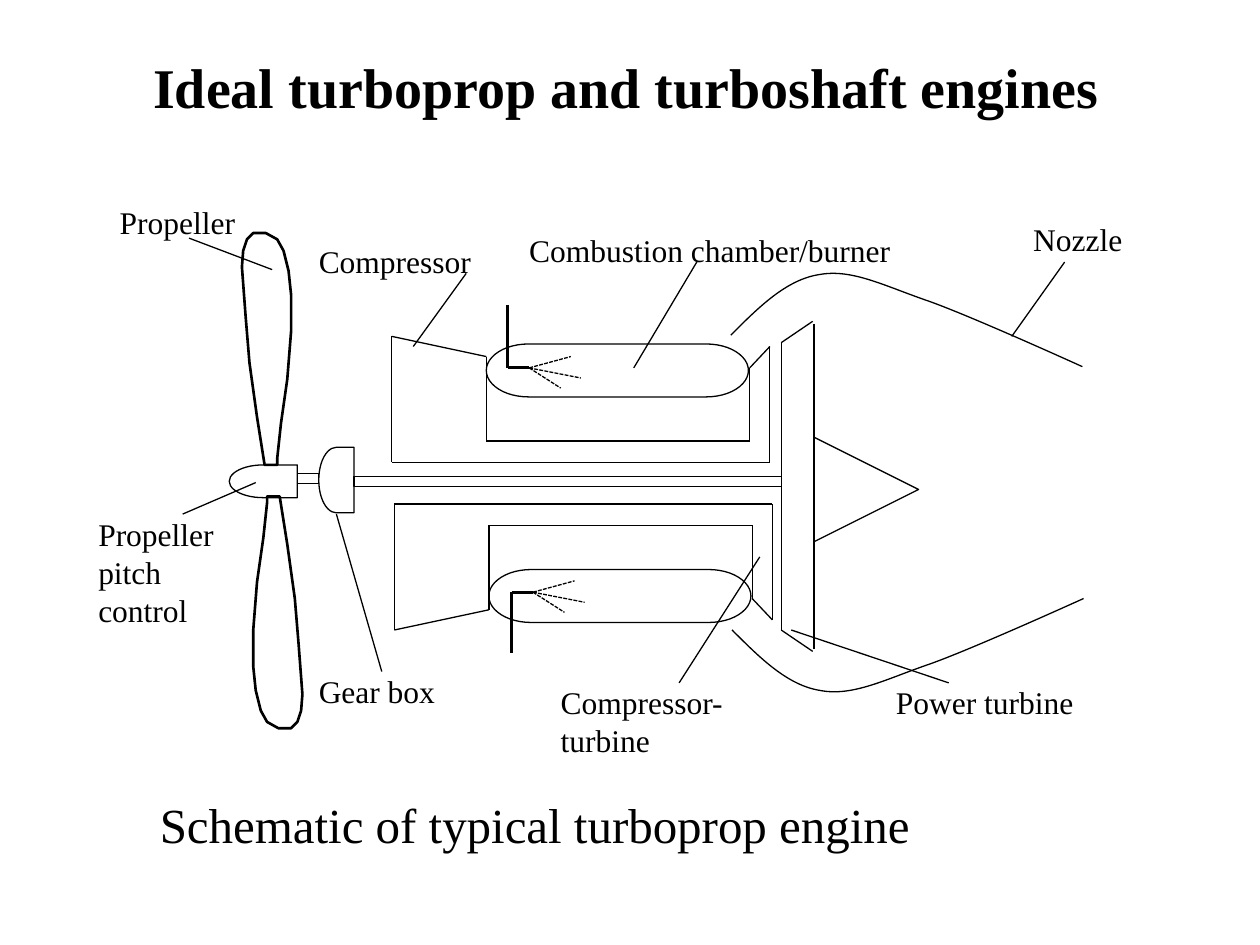
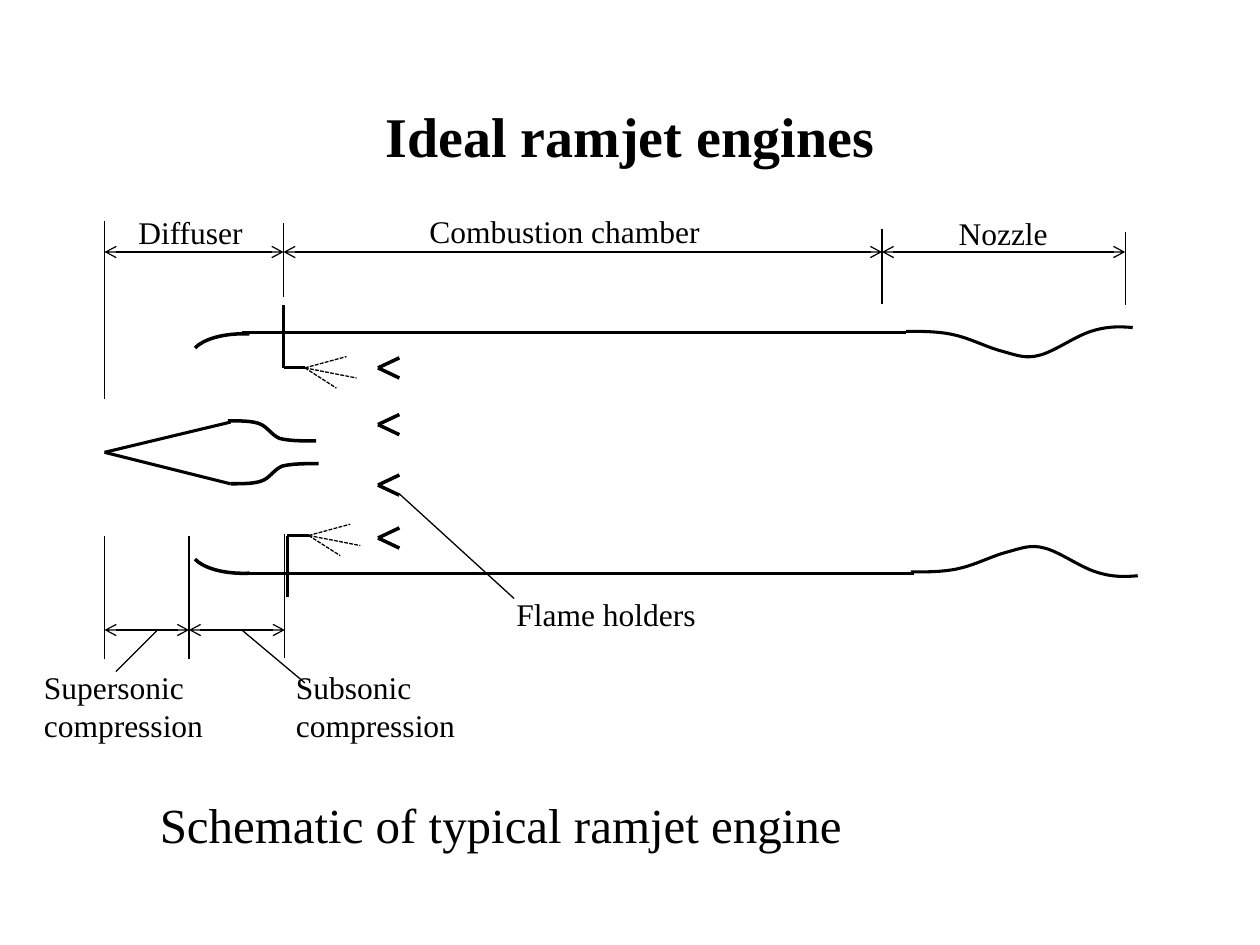
from dataclasses import dataclass
from itertools import pairwise

from lxml.etree import SubElement
from pptx import Presentation
from pptx.dml.color import RGBColor
from pptx.enum.dml import MSO_LINE
from pptx.enum.shapes import MSO_CONNECTOR, MSO_SHAPE
from pptx.enum.text import MSO_ANCHOR, MSO_AUTO_SIZE, PP_ALIGN
from pptx.oxml.ns import qn
from pptx.slide import Slide
from pptx.util import Cm, Pt

Point = tuple[float, float]
Box = tuple[float, float, float, float]


@dataclass(frozen=True)
class Theme:
    ink: RGBColor = RGBColor(0, 0, 0)
    paper: RGBColor = RGBColor(255, 255, 255)
    font: str = "Times New Roman"
    title_size: float = 32
    caption_size: float = 28
    label_size: float = 18
    thin: float = 0.75
    blade: float = 1.5
    medium: float = 1.75
    thick: float = 2


@dataclass(frozen=True)
class Label:
    text: str
    box: Box
    leader: tuple[Point, Point] | None = None


@dataclass(frozen=True)
class Part:
    preset: MSO_SHAPE
    box: Box
    rotation: float = 0
    flip: str = ""
    weight: float = 0.75
    start_angle: float | None = None


THEME = Theme()
UNIT_CM = 2.54  # one drawing unit; the page is 10 by 7.5 units


def units(value: float) -> int:
    return Cm(value * UNIT_CM)


def mirror(points: list[Point], shift: float, axis_sum: float) -> list[Point]:
    """Reflect points about the engine axis, with a small shift along it."""
    return [(x + shift, axis_sum - y) for x, y in points]


# Drawing functions

def add_text(slide: Slide, text: str, box: Box, size: float, *, inset: bool = True,
             title: bool = False) -> None:
    textbox = slide.shapes.add_textbox(*map(units, box))
    frame = textbox.text_frame
    frame.text = text
    frame.word_wrap = True
    if title:
        frame.vertical_anchor = MSO_ANCHOR.MIDDLE
    else:
        frame.auto_size = MSO_AUTO_SIZE.SHAPE_TO_FIT_TEXT
    if not inset:
        frame.margin_left = frame.margin_right = Cm(0)
        frame.margin_top = frame.margin_bottom = Cm(0)
    for paragraph in frame.paragraphs:
        paragraph.alignment = PP_ALIGN.CENTER if title else PP_ALIGN.LEFT
        for run in paragraph.runs:
            run.font.name = THEME.font
            run.font.size = Pt(size)
            run.font.bold = title
            run.font.color.rgb = THEME.ink


def add_line(slide: Slide, start: Point, end: Point, weight: float = THEME.thin, *,
             dashed: bool = False, arrows: bool = False) -> None:
    connector = slide.shapes.add_connector(
        MSO_CONNECTOR.STRAIGHT, *map(units, (*start, *end)))
    connector.line.color.rgb = THEME.ink
    connector.line.width = Pt(weight)
    if dashed:
        connector.line.dash_style = MSO_LINE.SQUARE_DOT
    properties = connector._element.spPr
    if arrows:
        for tag in ("a:headEnd", "a:tailEnd"):
            SubElement(properties.find(qn("a:ln")), qn(tag)).set("type", "arrow")
    SubElement(properties, qn("a:effectLst"))


def add_chain(slide: Slide, points: list[Point], weight: float = THEME.thin) -> None:
    for start, end in pairwise(points):
        add_line(slide, start, end, weight)


def outline(shape, weight: float) -> None:
    shape.shadow.inherit = False
    shape.fill.background()
    shape.line.color.rgb = THEME.ink
    shape.line.width = Pt(weight)


def add_part(slide: Slide, part: Part) -> None:
    shape = slide.shapes.add_shape(part.preset, *map(units, part.box))
    shape.rotation = part.rotation
    if part.start_angle is not None:
        shape.adjustments[0] = part.start_angle
        shape.adjustments[1] = 0
    if part.flip:
        shape._element.spPr.find(qn("a:xfrm")).set(part.flip, "1")
    outline(shape, part.weight)


def add_freeform(slide: Slide, points: list[Point], weight: float, *,
                 closed: bool = False, curved: bool = False) -> None:
    """Draw a polygon, or a Bezier curve with three points per segment."""
    start, *rest = [(units(x), units(y)) for x, y in points]
    builder = slide.shapes.build_freeform(*start, scale=1.0)
    builder.add_line_segments(rest, close=closed)
    shape = builder.convert_to_shape()
    if curved:
        segments = list(shape._element.iter(qn("a:lnTo")))
        for first in range(0, len(segments), 3):
            head, *others = segments[first:first + 3]
            head.tag = qn("a:cubicBezTo")
            for other in others:
                head.append(other[0])
                other.getparent().remove(other)
    outline(shape, weight)


def add_injector(slide: Slide, elbow: Point, feed: float) -> None:
    """Fuel pipe of signed length feed, with three dashed spray lines."""
    x, y = elbow
    tip = (x + 0.17, y)
    add_chain(slide, [(x, y + feed), elbow, tip], THEME.medium)
    for dx, dy in ((0.33, -0.09), (0.41, 0.08), (0.25, 0.16)):
        add_line(slide, tip, (tip[0] + dx, y + dy), dashed=True)


def add_labels(slide: Slide, labels: list[Label], inset: bool) -> None:
    for label in labels:
        add_text(slide, label.text, label.box, THEME.label_size, inset=inset)
        if label.leader:
            add_line(slide, *label.leader)


def start_slide(presentation, title: str, title_at: Point, caption: str) -> Slide:
    slide = presentation.slides.add_slide(presentation.slide_layouts[6])
    slide.background.fill.solid()
    slide.background.fill.fore_color.rgb = THEME.paper
    add_text(slide, title, (*title_at, 9, 0.75), THEME.title_size, title=True)
    add_text(slide, caption, (1.17, 6.26, 8, 0.57), THEME.caption_size)
    return slide


# Turboprop content

CORE = [(3.11, 3.67), (3.11, 2.67), (3.86, 2.83), (3.86, 3.5), (5.95, 3.5),
        (5.95, 2.92), (6.11, 2.75), (6.11, 3.67), (3.11, 3.67)]
POWER_TURBINE = [(6.46, 2.57), (6.46, 5.15)], [(6.45, 2.55), (6.2, 2.72), (6.2, 5), (6.45, 5.17)]
NOZZLE_WALL = [(5.8, 2.66), (6.02, 2.44), (6.24, 2.22), (6.5, 2.18), (6.76, 2.13),
               (7.02, 2.27), (7.37, 2.39), (7.71, 2.51), (8.59, 2.91), (8.59, 2.91)]
BLADE = [(2.1, 3.69), (2.04, 3.31), (1.98, 2.88), (1.95, 2.52), (1.92, 2.12),
         (1.93, 1.99), (1.96, 1.9), (2.01, 1.85), (2.11, 1.85), (2.2, 1.9),
         (2.25, 1.99), (2.29, 2.15), (2.31, 2.34), (2.31, 2.63), (2.28, 3.01),
         (2.23, 3.36), (2.2, 3.64), (2.2, 3.69)]
TURBOPROP_PARTS = [
    Part(MSO_SHAPE.FLOWCHART_TERMINATOR, (3.86, 2.73, 2.08, 0.42)),
    Part(MSO_SHAPE.FLOWCHART_TERMINATOR, (3.88, 4.52, 2.08, 0.42)),
    Part(MSO_SHAPE.ISOSCELES_TRIANGLE, (6.46, 3.47, 0.83, 0.83), rotation=90),
    Part(MSO_SHAPE.RECTANGLE, (2.81, 3.78, 3.39, 0.08)),
    Part(MSO_SHAPE.FLOWCHART_DELAY, (2.53, 3.55, 0.28, 0.52), flip="flipH"),
    Part(MSO_SHAPE.RECTANGLE, (2.36, 3.76, 0.17, 0.08)),
    Part(MSO_SHAPE.FLOWCHART_DELAY, (1.82, 3.69, 0.54, 0.26), flip="flipH"),
]
TURBOPROP_LABELS = [
    Label("Compressor", (2.53, 1.92, 1.75, 0.3), ((3.7, 2.17), (3.28, 2.75))),
    Label("Propeller", (0.95, 1.61, 1.75, 0.3), ((1.5, 1.89), (2.16, 2.14))),
    Label("Combustion chamber/burner", (4.2, 1.83, 4.75, 0.3), ((5.53, 2.08), (5.03, 2.92))),
    Label("Power turbine", (7.11, 5.42, 1.75, 0.3), ((6.28, 5), (7.53, 5.42))),
    Label("Nozzle", (8.2, 1.75, 1.05, 0.3), ((8.45, 2.08), (8.03, 2.67))),
    Label("Propeller\npitch\ncontrol", (0.78, 4.09, 1.75, 0.91), ((1.45, 4.08), (2.03, 3.83))),
    Label("Gear box", (2.53, 5.33, 1.75, 0.3), ((2.67, 4.08), (3.03, 5.33))),
    Label("Compressor- turbine", (4.45, 5.42, 1.75, 0.61), ((6.03, 4.42), (5.39, 5.42))),
]

# Ramjet content

RAMJET_NOZZLE = [(7.19, 2.63), (7.32, 2.63), (7.46, 2.63), (7.58, 2.66), (7.71, 2.69),
                 (7.84, 2.76), (7.96, 2.79), (8.07, 2.82), (8.14, 2.85), (8.25, 2.82),
                 (8.37, 2.79), (8.53, 2.67), (8.66, 2.63), (8.78, 2.59), (8.88, 2.59),
                 (8.99, 2.6)]
SPIKE_SHOULDER = [(1.81, 3.34), (1.9, 3.34), (1.99, 3.34), (2.05, 3.36), (2.12, 3.38),
                  (2.15, 3.45), (2.22, 3.48), (2.3, 3.5), (2.4, 3.5), (2.51, 3.5)]
INTAKE_LIPS = [
    Part(MSO_SHAPE.ARC, (1.76, 2.4, 0.42, 0.92), 272.7, "", THEME.thick, 168.25),
    Part(MSO_SHAPE.ARC, (1.76, 3.88, 0.42, 0.92), 87.3, "flipV", THEME.thick, 168.25),
]
FLAME_HOLDER_HEIGHTS = (2.92, 3.37, 3.85, 4.27)
# Each station: position, top and bottom of its extension line
SECTION_STATIONS = [(0.83, 1.75, 3.17), (2.25, 1.77, 2.36), (7, 1.82, 2.41), (8.93, 1.84, 2.42)]
COMPRESSION_STATIONS = [(0.83, 4.25, 5.23), (1.5, 4.25, 5.23), (2.26, 4.24, 5.22)]
RAMJET_LABELS = [
    Label("Diffuser", (1, 1.64, 1.25, 0.4)),
    Label("Combustion chamber", (3.31, 1.63, 3.25, 0.4)),
    Label("Nozzle", (7.51, 1.65, 1.17, 0.4)),
    Label("Supersonic compression", (0.25, 5.25, 1.92, 0.71), ((1.25, 5), (0.92, 5.33))),
    Label("Subsonic compression", (2.25, 5.25, 1.92, 0.71), ((1.92, 5), (2.42, 5.42))),
    Label("Flame holders", (4, 4.67, 2.25, 0.4), ((3.17, 3.92), (4.08, 4.75))),
]


def build_turboprop(presentation) -> None:
    slide = start_slide(presentation, "Ideal turboprop and turboshaft engines",
                        (0.47, 0.31), "Schematic of typical turboprop engine")
    # Compressor, burner and turbine casing
    for core in (CORE, mirror(CORE, 0.02, 7.67)):
        add_chain(slide, core)
    for edges in POWER_TURBINE:
        add_chain(slide, edges)
    for part in TURBOPROP_PARTS:
        add_part(slide, part)
    for wall in (NOZZLE_WALL, mirror(NOZZLE_WALL, 0.01, 7.66)):
        add_freeform(slide, wall, THEME.thin, curved=True)
    # Propeller: the lower blade is the upper one turned half round
    lower_blade = [(4.32 - x, 7.63 - y) for x, y in BLADE]
    for blade in (BLADE, lower_blade):
        add_freeform(slide, blade, THEME.blade, closed=True)
    add_injector(slide, (4.03, 2.92), -0.5)
    add_injector(slide, (4.06, 4.7), 0.48)
    add_labels(slide, TURBOPROP_LABELS, inset=False)


def add_dimensions(slide: Slide, stations: list[Box], height: float) -> None:
    for x, top, bottom in stations:
        add_line(slide, (x, top), (x, bottom))
    for (left, *_), (right, *_) in pairwise(stations):
        add_line(slide, (left, height), (right, height), arrows=True)


def build_ramjet(presentation) -> None:
    slide = start_slide(presentation, "Ideal ramjet engines", (0.5, 0.7),
                        "Schematic of typical ramjet engine")
    # Outer shell
    for left, y in ((1.92, 2.64), (1.98, 4.55)):
        add_line(slide, (left, y), (left + 5.27, y), THEME.thick)
    for lip in INTAKE_LIPS:
        add_part(slide, lip)
    for nozzle in (RAMJET_NOZZLE, mirror(RAMJET_NOZZLE, 0.04, 7.17)):
        add_freeform(slide, nozzle, THEME.medium, curved=True)
    # Centre spike
    add_chain(slide, [(1.83, 3.35), (0.83, 3.59), (1.83, 3.84)], THEME.medium)
    for shoulder in (SPIKE_SHOULDER, mirror(SPIKE_SHOULDER, 0.02, 7.18)):
        add_freeform(slide, shoulder, THEME.thick, curved=True)
    # Flame holders and fuel injectors
    for y in FLAME_HOLDER_HEIGHTS:
        add_chain(slide, [(3.17, y - 0.08), (3, y), (3.17, y + 0.08)], THEME.thick)
    add_injector(slide, (2.25, 2.92), -0.5)
    add_injector(slide, (2.28, 4.25), 0.49)
    # Dimensions and labels
    add_dimensions(slide, SECTION_STATIONS, 2)
    add_dimensions(slide, COMPRESSION_STATIONS, 5)
    add_labels(slide, RAMJET_LABELS, inset=True)


presentation = Presentation()
presentation.slide_width, presentation.slide_height = Cm(25.4), Cm(19.05)
build_turboprop(presentation)
build_ramjet(presentation)
presentation.save("out.pptx")
